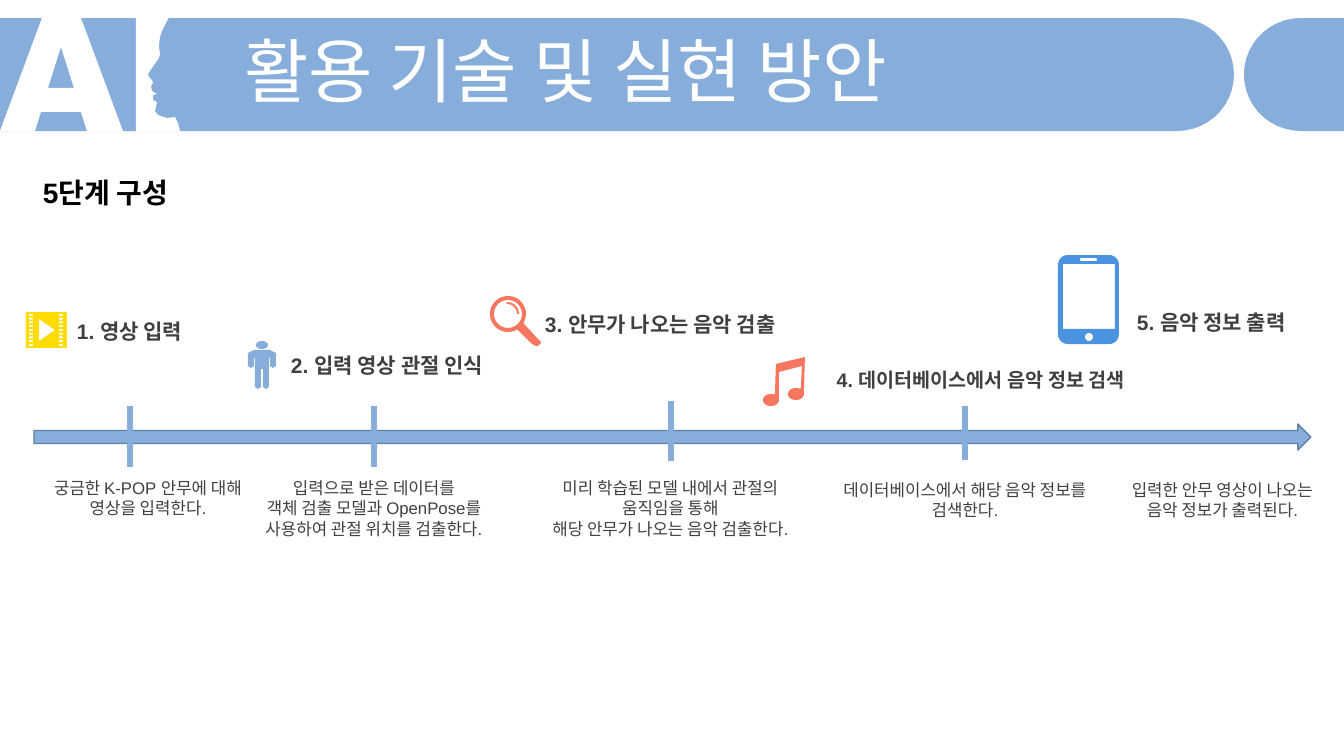
from dataclasses import dataclass
from math import cos, radians, sin
from typing import Optional

from lxml import etree
from pptx import Presentation
from pptx.dml.color import RGBColor
from pptx.enum.shapes import MSO_CONNECTOR, MSO_SHAPE
from pptx.enum.text import MSO_ANCHOR, MSO_AUTO_SIZE, PP_ALIGN
from pptx.oxml.ns import qn
from pptx.util import Pt

PX = 914400 / 100.8
FONT = "Arial"
COLORS = {
    "blue": "87ADDB", "outline": "6480A2", "white": "FFFFFF", "black": "000000",
    "gray": "404040", "coral": "F77660", "yellow": "FEDC04", "phone": "4C93DF",
}
LEFT, CENTER, RIGHT = PP_ALIGN.LEFT, PP_ALIGN.CENTER, PP_ALIGN.RIGHT
TOP, MIDDLE = MSO_ANCHOR.TOP, MSO_ANCHOR.MIDDLE
GROW, FIXED = MSO_AUTO_SIZE.SHAPE_TO_FIT_TEXT, MSO_AUTO_SIZE.NONE
RIGHT_ARROW, STRAIGHT = MSO_SHAPE.RIGHT_ARROW, MSO_CONNECTOR.STRAIGHT


@dataclass
class Step:
    label: str
    label_box: tuple
    description: str
    description_box: tuple
    icon: str
    icon_at: tuple
    tick: Optional[tuple] = None
    align: PP_ALIGN = LEFT
    size: int = 15


STEPS = [
    Step("1. 영상 입력", (33, -110, 139, 35),
         "궁금한 K-POP 안무에 대해 영상을 입력한다.", (-1, 49, 230, 50),
         "film", (-8, -112), (96, -18, 43)),
    Step("2. 입력 영상 관절 인식", (208, -76, 251, 35),
         "입력으로 받은 데이터를\n객체 검출 모델과 OpenPose를 사용하여 관절 위치를 검출한다.",
         (208, 49, 264, 72), "person", (214, -83), (340, -18, 43), RIGHT),
    Step("3. 안무가 나오는 음악 검출", (501, -117, 275, 35),
         "미리 학습된 모델 내에서 관절의 움직임을 통해\n해당 안무가 나오는 음악 검출한다.",
         (498, 49, 277, 72), "magnifier", (456, -128), (637, -23, 37)),
    Step("4. 데이터베이스에서 음악 정보 검색", (761, -61, 340, 34),
         "데이터베이스에서 해당 음악 정보를 검색한다.", (799, 51, 264, 50),
         "notes", (730, -67), (931, -18, 36), RIGHT, 14),
    Step("5. 음악 정보 출력", (1093, -119, 190, 35),
         "입력한 안무 영상이 나오는 음악 정보가 출력된다.", (1076, 51, 225, 50),
         "phone", (1024, -169)),
]


def px(*lengths):
    return [round(length * PX) for length in lengths]


def rgb(name):
    return RGBColor.from_string(COLORS[name])


def arc(cx, cy, rx, ry, start=0, end=360):
    count = max(4, abs(end - start) // 8)
    angles = [radians(start + (end - start) * i / count) for i in range(count + 1)]
    return [(cx + rx * cos(a), cy + ry * sin(a)) for a in angles]


def rect(x, y, w, h):
    return [(x, y), (x + w, y), (x + w, y + h), (x, y + h)]


def rounded(x, y, w, h, r):
    corners = rect(x + r, y + r, w - 2 * r, h - 2 * r)
    return [point for i, (cx, cy) in enumerate(corners)
            for point in arc(cx, cy, r, r, 180 + 90 * i, 270 + 90 * i)]


def film():
    holes = [rect(x, 2 + row * 30 / 8, 4, 2) for x in (3, 33) for row in range(9)]
    return [rect(0, 0, 41, 36), [(13, 7), (13, 29), (29, 18)]] + holes


def person():
    half = [(22, 9), (28, 12), (28, 25), (25, 27), (22, 25), (22, 17),
            (21, 17), (21, 46), (18, 48), (15, 46), (15, 28)]
    return [half + [(28 - x, y) for x, y in reversed(half)], arc(14, 4, 6, 4)]


def magnifier():
    handle = [(47, 42), (51, 46), (51, 47), (48, 50), (46, 50), (42, 48)]
    return [arc(18, 18, 18, 18, 59, 391) + handle, arc(18, 18, 14, 14),
            arc(17, 18, 12, 12, -92, 0) + arc(17, 18, 10, 10, 0, -92)]


def notes():
    return [[(41, 0), (40, 35)] + arc(32, 37, 8, 6, 0, 300)
            + [(37, 31), (38, 9), (15, 15), (15, 41)]
            + arc(7, 43, 8, 6, 0, 300) + [(11, 38), (12, 7)]]


def phone():
    return [rounded(0, 0, 61, 89, 10), rect(5, 9, 52, 65),
            rounded(22, 3, 17, 3, 1), arc(31, 82, 4, 4)]


ICONS = {
    "film": (film, "yellow"), "person": (person, "blue"),
    "magnifier": (magnifier, "coral"), "notes": (notes, "coral"),
    "phone": (phone, "phone"),
}


def draw_outline(slide, x, y, contours, color):
    paths = [[px(x + dx, y + dy) for dx, dy in contour] for contour in contours]
    builder = slide.shapes.build_freeform(*paths[0][0])
    builder.add_line_segments(paths[0][1:])
    for path in paths[1:]:
        builder.move_to(*path[0])
        builder.add_line_segments(path[1:])
    outline = builder.convert_to_shape()
    outline.shadow.inherit = False
    outline.fill.solid()
    outline.fill.fore_color.rgb = rgb(color)
    outline.line.fill.background()


def write_text(slide, text, box, size=12, color="gray", bold=False, align=LEFT,
               anchor=TOP, fit=GROW, spacing=None, holder=None):
    holder = holder or slide.shapes.add_textbox(*px(*box))
    holder.left, holder.top, holder.width, holder.height = px(*box)
    frame = holder.text_frame
    frame.text = text
    frame.word_wrap = True
    frame.auto_size = fit
    frame.vertical_anchor = anchor
    for paragraph in frame.paragraphs:
        paragraph.alignment = align
        paragraph.line_spacing = spacing
        for run in paragraph.runs:
            run.font.name = FONT
            run.font.size = Pt(size)
            run.font.bold = bold
            run.font.color.rgb = rgb(color)


def draw_banner(slide, x, y, w, h):
    r = h / 2
    draw_outline(slide, x, y, [[(0, 0)] + arc(1177, r, 57, r, -90, 90) + [(0, h)]], "blue")
    letter = [(42, 0), (81, 0), (123, h), (87, h), (81, 94), (41, 94), (35, h), (0, h)]
    profile = [(136, 0), (169, 0), (168, 1), (162, 13), (160, 19), (159, 28), (160, 36),
               (159, 40), (152, 50), (148, 56), (149, 59), (152, 62), (153, 65), (151, 68),
               (152, 73), (157, 76), (153, 77), (153, 82), (157, 84), (156, 89), (155, 93),
               (158, 97), (161, 98), (167, 100), (175, 99), (178, 105), (180, h), (136, h)]
    draw_outline(slide, x, y, [letter, [(61, 29), (48, 70), (74, 70)], profile], "white")
    draw_outline(slide, x, y, [arc(1301, r, 57, r, 90, 270) + [(w, 0), (w, h)]], "blue")
    title = slide.shapes.title
    slide.shapes._spTree.append(title._element)
    write_text(slide, "활용 기술 및 실현 방안", (x + 234, y + 19, 1078, 80), size=50,
               color="white", anchor=MIDDLE, fit=FIXED, spacing=0.8, holder=title)


def draw_step(slide, x, y, step):
    def shift(box):
        return (x + box[0], y + box[1], *box[2:])

    write_text(slide, step.label, shift(step.label_box), size=step.size, bold=True,
               align=step.align, anchor=MIDDLE)
    write_text(slide, step.description, shift(step.description_box), align=CENTER)
    contours, color = ICONS[step.icon]
    draw_outline(slide, *shift(step.icon_at), contours(), color)
    if step.tick:
        dx, start, end = step.tick
        tick = slide.shapes.add_connector(STRAIGHT, *px(x + dx, y + start, x + dx, y + end))
        tick.line.color.rgb = rgb("blue")
        tick.line.width = Pt(4.5)
        etree.SubElement(tick._element.spPr, qn("a:effectLst"))


def draw_timeline(slide, x, y, w, h):
    arrow = slide.shapes.add_shape(RIGHT_ARROW, *px(x, y, w, h))
    arrow.shadow.inherit = False
    arrow.fill.solid()
    arrow.fill.fore_color.rgb = rgb("blue")
    arrow.line.color.rgb = rgb("outline")
    arrow.line.width = Pt(1)
    for step in STEPS:
        draw_step(slide, x, y, step)


def main():
    deck = Presentation()
    deck.slide_width, deck.slide_height = px(1344, 756)
    slide = deck.slides.add_slide(deck.slide_layouts[5])
    draw_banner(slide, 0, 18, 1344, 113)
    write_text(slide, "5단계 구성", (33, 171, 586, 44), size=20, color="black", bold=True)
    draw_timeline(slide, 34, 424, 1277, 26)
    deck.save("out.pptx")


if __name__ == "__main__":
    main()
